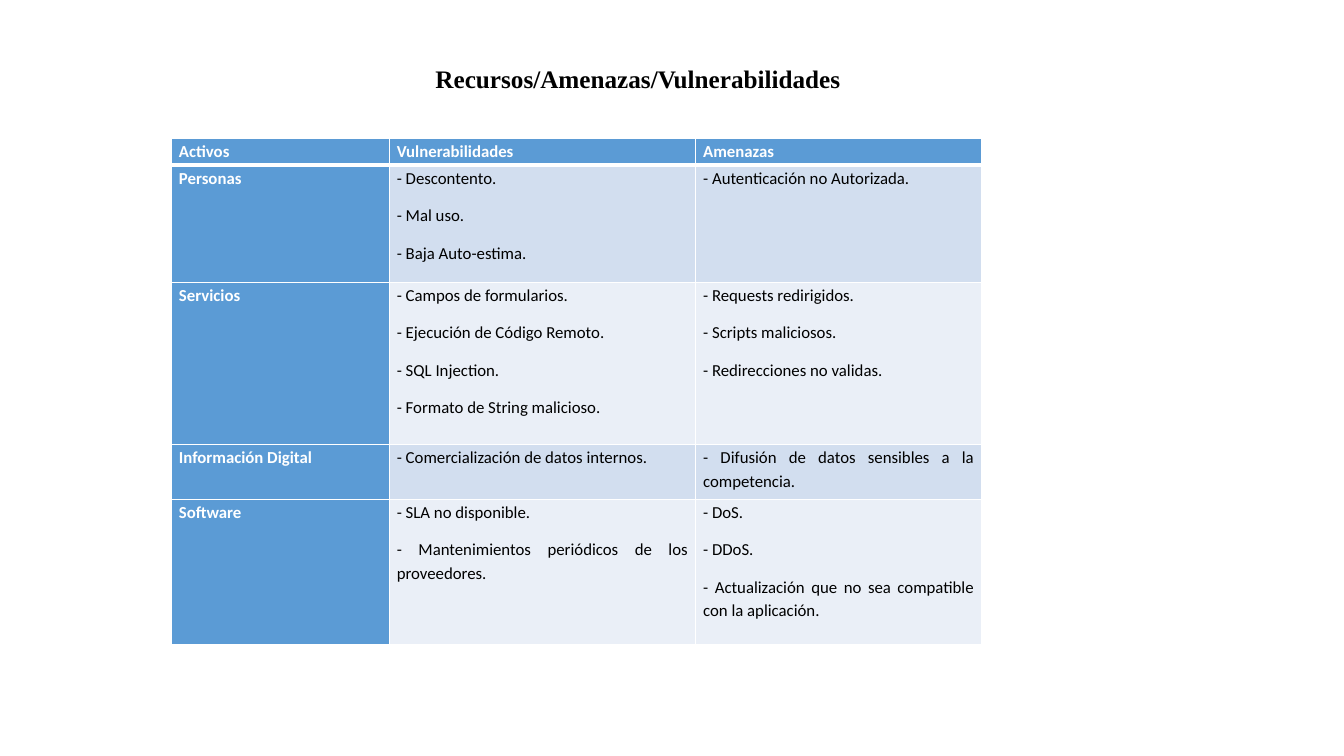
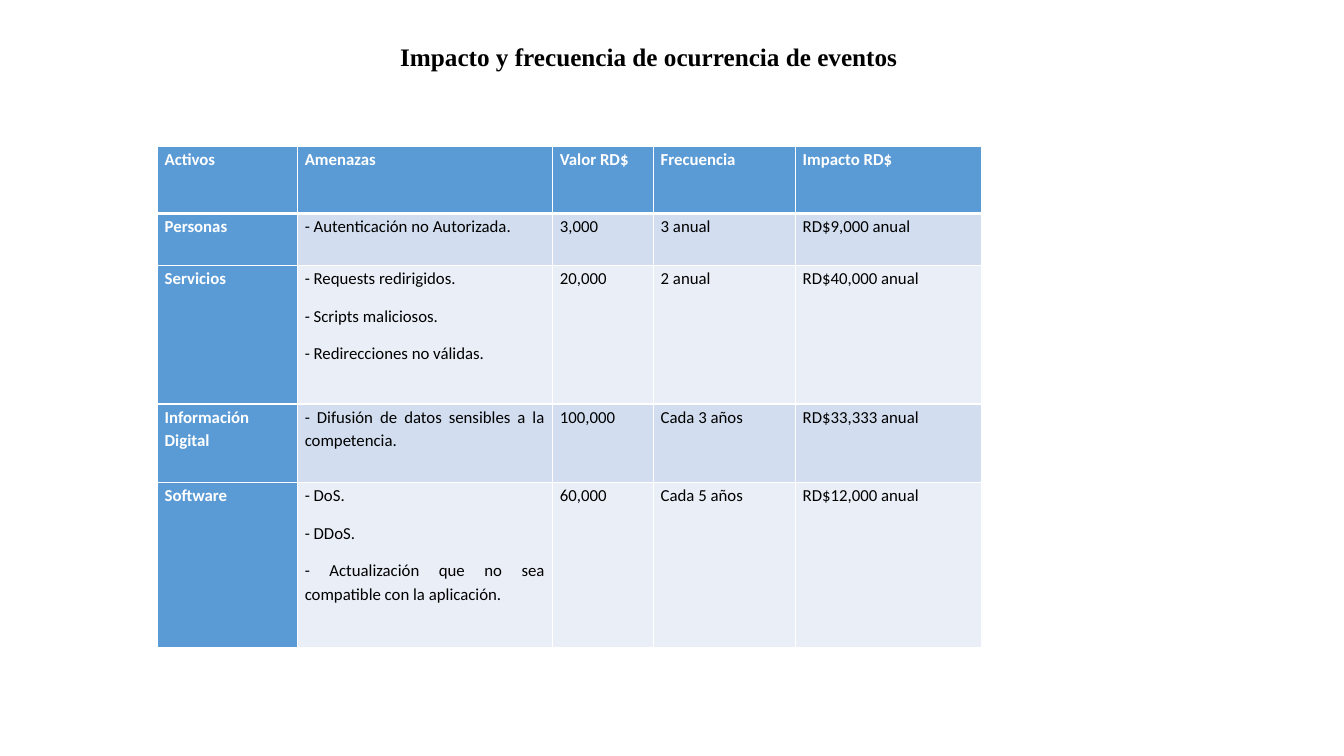
from dataclasses import dataclass

from lxml.etree import SubElement
from pptx import Presentation
from pptx.dml.color import RGBColor
from pptx.enum.text import MSO_ANCHOR, MSO_AUTO_SIZE, PP_ALIGN
from pptx.oxml.ns import qn
from pptx.util import Cm, Pt


@dataclass(frozen=True)
class Theme:
    """Colours, fonts and sizes shared by the slides."""
    ink: str = "000000"
    white: str = "FFFFFF"
    blue: str = "5B9BD5"
    bands: tuple[str, str] = ("D2DEEF", "EAEFF7")
    head_font: str = "Times New Roman"
    body_font: str = "Calibri"
    head_size: int = 18
    body_size: int = 12
    thin: int = 1
    thick: int = 3
    inset: float = 0.19


@dataclass(frozen=True)
class Box:
    """A place on the slide, in centimetres."""
    left: float
    top: float
    width: float
    height: float


@dataclass(frozen=True)
class Grid:
    """A table with its corner, sizes in centimetres and rows of text."""
    left: float
    top: float
    cols: tuple[float, ...]
    rows: tuple[float, ...]
    cells: tuple[tuple[str, ...], ...]


@dataclass(frozen=True)
class Page:
    """One slide: its title, the place of the title and its table."""
    title: str
    box: Box
    grid: Grid


THEME = Theme()

PAGES = (
    Page("Recursos/Amenazas/Vulnerabilidades", Box(10.72, 1.47, 10.97, 1.02), Grid(
        4.32, 3.5, (5.49, 7.72, 7.21), (0.66, 2.95, 4.1, 1.37, 3.66), (
            ("Activos", "Vulnerabilidades", "Amenazas"),
            ("Personas", "- Descontento.\n- Mal uso.\n- Baja Auto-estima.",
             "- Autenticación no Autorizada."),
            ("Servicios",
             "- Campos de formularios.\n- Ejecución de Código Remoto.\n"
             "- SQL Injection.\n- Formato de String malicioso.",
             "- Requests redirigidos.\n- Scripts maliciosos.\n- Redirecciones no validas."),
            ("Información Digital", "- Comercialización de datos internos.",
             "- Difusión de datos sensibles a la competencia."),
            ("Software",
             "- SLA no disponible.\n- Mantenimientos periódicos de los proveedores.",
             "- DoS.\n- DDoS.\n- Actualización que no sea compatible con la aplicación."),
        ))),
    Page("Impacto y frecuencia de ocurrencia de eventos", Box(9.83, 0.91, 13.34, 1.02), Grid(
        3.96, 3.68, (3.53, 6.43, 2.54, 3.58, 4.7), (1.7, 1.32, 3.48, 1.98, 4.17), (
            ("Activos", "Amenazas", "Valor RD$", "Frecuencia", "Impacto RD$"),
            ("Personas", "- Autenticación no Autorizada.", "3,000", "3 anual",
             "RD$9,000 anual"),
            ("Servicios",
             "- Requests redirigidos.\n- Scripts maliciosos.\n- Redirecciones no válidas.",
             "20,000", "2 anual", "RD$40,000 anual"),
            ("Información Digital", "- Difusión de datos sensibles a la competencia.",
             "100,000", "Cada 3 años", "RD$33,333 anual"),
            ("Software",
             "- DoS.\n- DDoS.\n- Actualización que no sea compatible con la aplicación.",
             "60,000", "Cada 5 años", "RD$12,000 anual"),
        ))),
)


def write(frame, text: str, *, font: str, size: int, color: str, bold: bool = False,
          align: PP_ALIGN = PP_ALIGN.LEFT, line: float = 1.0, after: int = 0) -> None:
    """Fill a text frame, one paragraph for each line of text."""
    frame.text = text
    for para in frame.paragraphs:
        para.alignment = align
        para.line_spacing = line
        para.space_before = Pt(0)
        para.space_after = Pt(after)
        para.font.name = font
        para.font.size = Pt(size)
        para.font.bold = bold
        para.font.color.rgb = RGBColor.from_string(color)


def edge(cell, side: str, width: int) -> None:
    """Draw one white border of a cell."""
    line = SubElement(cell._tc.get_or_add_tcPr(), qn(f"a:ln{side}"), w=str(Pt(width)))
    fill = SubElement(line, qn("a:solidFill"))
    SubElement(fill, qn("a:srgbClr"), val=THEME.white)


def draw_cell(cell, text: str, row: int, col: int) -> None:
    """Format one cell by its row and column."""
    head = row == 0 or col == 0
    widths = {"L": THEME.thin, "R": THEME.thin,
              "T": THEME.thick if row == 1 else THEME.thin,
              "B": THEME.thick if row == 0 else THEME.thin}
    for side, width in widths.items():
        edge(cell, side, width)
    cell.fill.solid()
    shade = THEME.blue if head else THEME.bands[(row - 1) % 2]
    cell.fill.fore_color.rgb = RGBColor.from_string(shade)
    cell.margin_left = cell.margin_right = Cm(THEME.inset)
    cell.margin_top = cell.margin_bottom = Cm(0)
    write(cell.text_frame, text, font=THEME.body_font, size=THEME.body_size,
          color=THEME.white if head else THEME.ink, bold=head,
          align=PP_ALIGN.JUSTIFY, line=1.15, after=10)


def draw_grid(slide, grid: Grid) -> None:
    """Add a table to the slide."""
    table = slide.shapes.add_table(
        len(grid.rows), len(grid.cols), Cm(grid.left), Cm(grid.top),
        Cm(sum(grid.cols)), Cm(sum(grid.rows))).table
    table.first_col = True
    for col, width in zip(table.columns, grid.cols):
        col.width = Cm(width)
    for row, height in zip(table.rows, grid.rows):
        row.height = Cm(height)
    for row, texts in enumerate(grid.cells):
        for col, text in enumerate(texts):
            draw_cell(table.cell(row, col), text, row, col)


def draw_title(slide, text: str, box: Box) -> None:
    """Place and format the title of the slide."""
    title = slide.shapes.title
    title.left, title.top = Cm(box.left), Cm(box.top)
    title.width, title.height = Cm(box.width), Cm(box.height)
    frame = title.text_frame
    frame.word_wrap = False
    frame.auto_size = MSO_AUTO_SIZE.SHAPE_TO_FIT_TEXT
    frame.vertical_anchor = MSO_ANCHOR.TOP
    write(frame, text, font=THEME.head_font, size=THEME.head_size,
          color=THEME.ink, bold=True)


def main() -> None:
    """Build the slides and save them."""
    deck = Presentation()
    deck.slide_width, deck.slide_height = Cm(33.87), Cm(19.05)
    for page in PAGES:
        slide = deck.slides.add_slide(deck.slide_layouts.get_by_name("Title Only"))
        draw_title(slide, page.title, page.box)
        draw_grid(slide, page.grid)
    deck.save("out.pptx")


if __name__ == "__main__":
    main()
